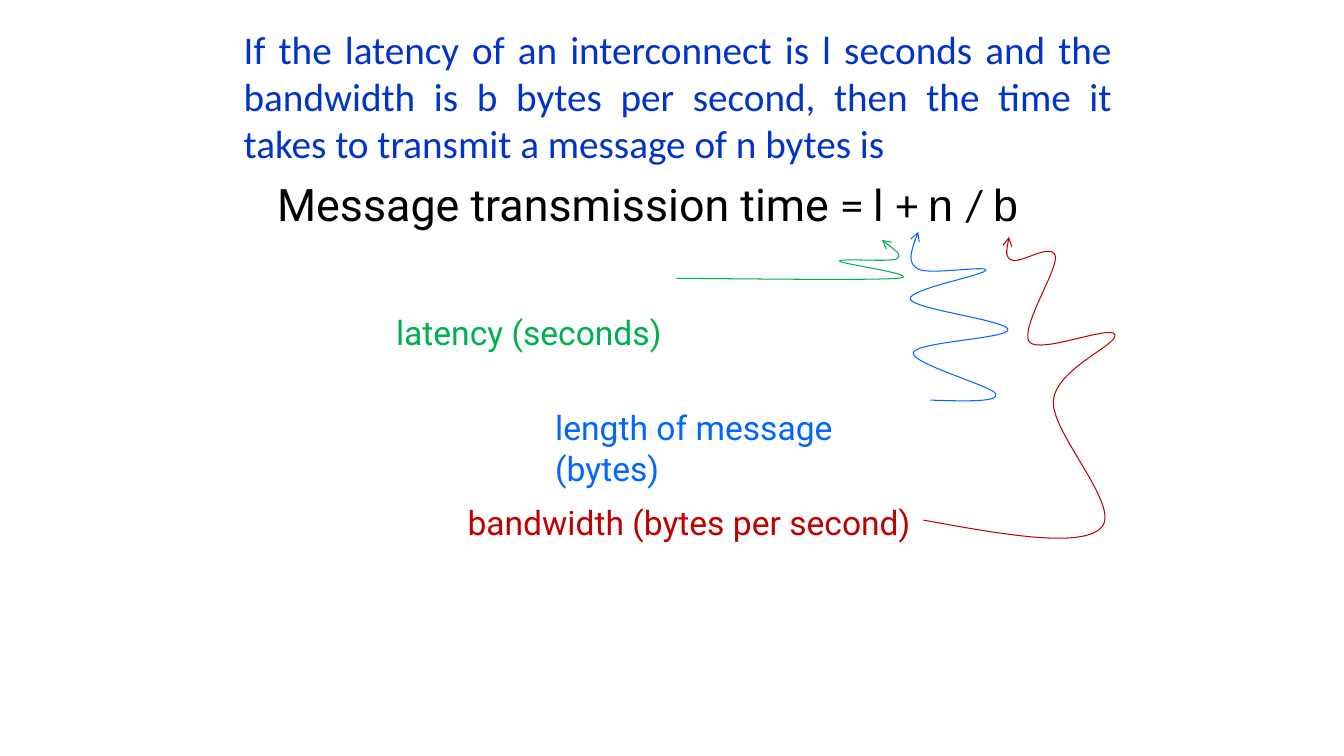
from lxml.etree import SubElement
from pptx import Presentation
from pptx.dml.color import RGBColor
from pptx.enum.text import MSO_AUTO_SIZE, PP_ALIGN
from pptx.oxml.ns import qn
from pptx.util import Pt

GREEN, BLUE, RED = "00B050", "0066FF", "C00000"

LABELS = [
    ("latency (seconds)", GREEN, (275.8, 218.9, 204.5, 36.7), False),
    ("bandwidth (bytes per second)", RED, (326.9, 355, 332.6, 36.7), False),
    ("length of message (bytes)", BLUE, (389.5, 287.3, 284, 36.7), True),
]

CURVES = [
    (GREEN, (483.1, 171.4), [
        (0, 27.4),
        (69, 28), (139, 28.8), (158.4, 27.4),
        (177.8, 25.2), (117.4, 17.3), (116.6, 15.1),
        (116.6, 13), (151.9, 15.8), (157, 13.7),
        (162, 10.8), (154.1, 5.8), (146.9, 0)]),
    (BLUE, (648, 165.6), [
        (16.6, 120.2),
        (41, 121), (65.5, 121.7), (63.4, 115.9),
        (61.2, 110.2), (2.9, 94.3), (4.3, 86.4),
        (5.8, 78.5), (72.7, 76.3), (72, 69.8),
        (72, 63.4), (5, 55.4), (2.2, 48.2),
        (0, 41), (55.4, 31), (56.2, 27.4),
        (56.9, 23.8), (15.8, 31), (7.9, 26.6),
        (0, 22.3), (3.6, 10.8), (7.9, 0)]),
    (RED, (659.5, 169.2), [
        (0, 202.3),
        (55.4, 212.4), (111.6, 222.5), (126.7, 208.1),
        (142.6, 193.7), (91.4, 140.4), (92.9, 117.4),
        (94.3, 94.3), (139.7, 77), (136.8, 69.8),
        (133.9, 62.6), (82.8, 84.2), (75.6, 74.9),
        (69.1, 64.8), (96.5, 23), (94.3, 13.7),
        (92.2, 3.6), (69.1, 19.4), (63.4, 16.6),
        (58.3, 14.4), (59.8, 7.2), (61.2, 0)]),
]


def paint(color, tint):
    """Set a colour format from a hex string."""
    color.rgb = RGBColor.from_string(tint)


def style(run, size, face, tint):
    """Give a run its size, font and colour."""
    run.font.size = Pt(size)
    run.font.name = face
    paint(run.font.color, tint)


def add_box(slide, box, wrap=True):
    """Add an empty text box and return its text frame."""
    frame = slide.shapes.add_textbox(*map(Pt, box)).text_frame
    frame.word_wrap = wrap
    frame.auto_size = MSO_AUTO_SIZE.SHAPE_TO_FIT_TEXT
    return frame


def add_intro(slide, box):
    """Place the justified statement."""
    frame = add_box(slide, box)
    frame.text = (
        "If the latency of an interconnect is l seconds and the bandwidth "
        "is b bytes per second, then the time it takes to transmit a "
        "message of n bytes is")
    para = frame.paragraphs[0]
    para.alignment = PP_ALIGN.JUSTIFY
    style(para.runs[0], 28, "Calibri", "0033CC")


def add_formula(slide, box):
    """Place the formula, with its own font for words, signs and symbols."""
    para = add_box(slide, box).paragraphs[0]
    parts = [("Message transmission time ", "Roboto"),
             ("= ", "Calibri"), ("l ", "Arial"),
             ("+ ", "Calibri"), ("n ", "Arial"),
             ("/ ", "Calibri"), ("b", "Arial")]
    for text, face in parts:
        run = para.add_run()
        run.text = text
        style(run, 32, face, "000000")


def add_label(slide, text, tint, box, wrap):
    """Place the name of one term of the formula."""
    frame = add_box(slide, box, wrap)
    frame.text = text
    style(frame.paragraphs[0].runs[0], 24, "Roboto", tint)


def add_curve(slide, tint, start, spots):
    """Draw a Bezier arrow whose points are offsets from its start corner."""
    left, top = start
    first, *rest = [(Pt(left + x), Pt(top + y)) for x, y in spots]
    maker = slide.shapes.build_freeform(*first)
    maker.add_line_segments(rest, close=False)
    shape = maker.convert_to_shape()
    shape.shadow.inherit = False
    shape.fill.background()
    paint(shape.line.color, tint)
    shape.line.width = Pt(0.75)

    route = shape.element.xpath(".//a:path")[0]
    steps = route.findall(qn("a:lnTo"))
    for i in range(0, len(steps), 3):
        bend = SubElement(route, qn("a:cubicBezTo"))
        for step in steps[i:i + 3]:
            bend.append(step[0])
            route.remove(step)
    edge = shape.element.xpath("./p:spPr/a:ln")[0]
    SubElement(edge, qn("a:tailEnd"), type="arrow")


def main():
    """Build the slide and save it."""
    deck = Presentation()
    deck.slide_width, deck.slide_height = Pt(960), Pt(540)
    slide = deck.slides.add_slide(deck.slide_layouts[6])
    add_formula(slide, (190.8, 122.4, 572.4, 46.1))
    for label in LABELS:
        add_label(slide, *label)
    for curve in CURVES:
        add_curve(slide, *curve)
    add_intro(slide, (167, 14.4, 634.3, 108.7))
    deck.save("out.pptx")


if __name__ == "__main__":
    main()
